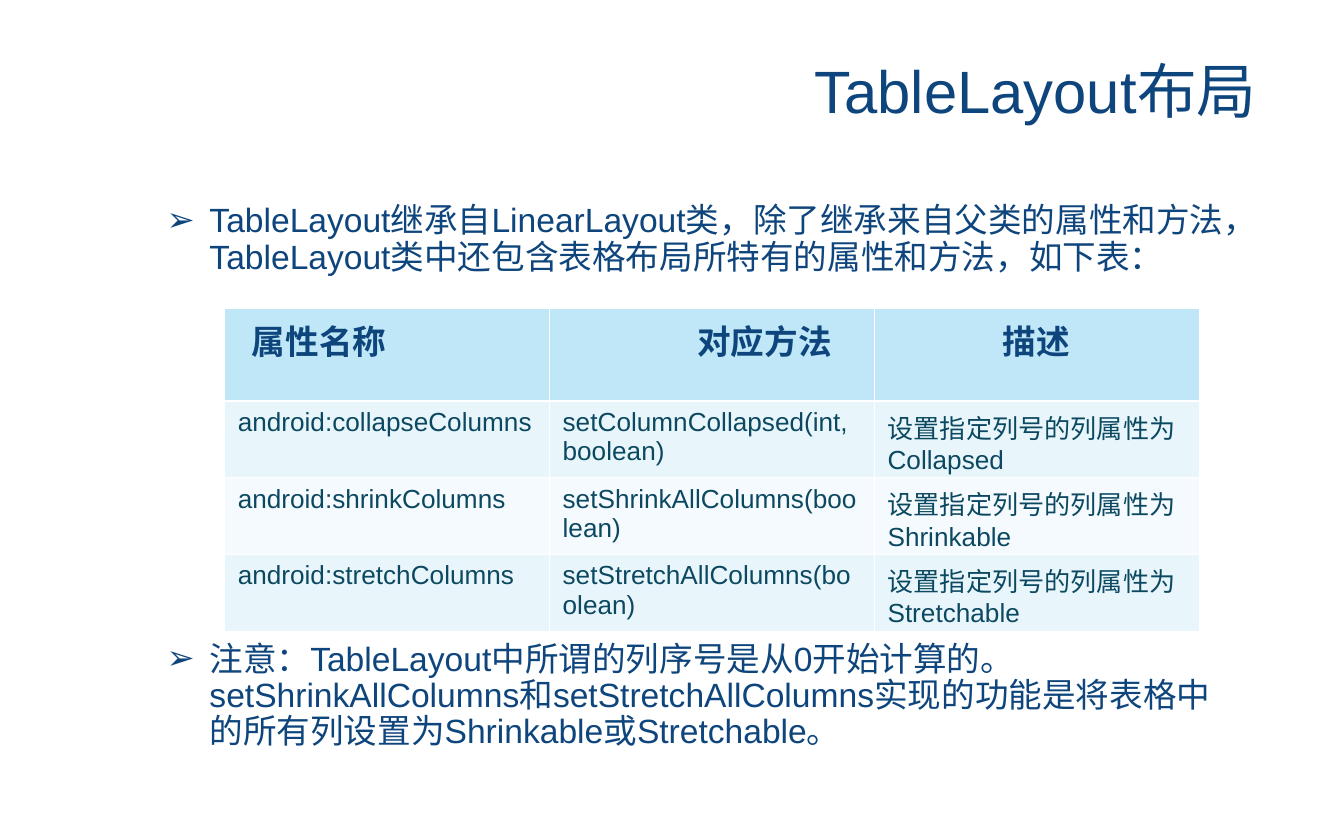
import pptx
import pptx.dml.color
import pptx.enum.text
import pptx.oxml
import pptx.oxml.ns
import pptx.util

Cm = pptx.util.Cm
Pt = pptx.util.Pt
RGBColor = pptx.dml.color.RGBColor
Align = pptx.enum.text.PP_ALIGN
Anchor = pptx.enum.text.MSO_ANCHOR

NAVY = RGBColor(0x0E, 0x45, 0x7D)
TEAL = RGBColor(0x0C, 0x49, 0x61)
HEADER_FILL = RGBColor(0xBF, 0xE7, 0xF7)
BAND_FILLS = (RGBColor(0xE8, 0xF6, 0xFC), RGBColor(0xF4, 0xFA, 0xFD))
WHITE = RGBColor(0xFF, 0xFF, 0xFF)

THIN, THICK = Pt(0.45), Pt(1.47)
NAMESPACE = pptx.oxml.ns.nsdecls("a")

NOTES = [
    ("TableLayout继承自LinearLayout类，除了继承来自父类的属性和方法，"
     "TableLayout类中还包含表格布局所特有的属性和方法，如下表：", 0),
    ("注意：TableLayout中所谓的列序号是从0开始计算的。"
     "setShrinkAllColumns和setStretchAllColumns实现的功能是将表格中的所有列"
     "设置为Shrinkable或Stretchable。", 196),
]
# Header text, alignment, left margin in cm
HEADERS = [
    ("属性名称", Align.LEFT, 0.52),
    ("对应方法", Align.LEFT, 2.8),
    ("描述", Align.CENTER, 0.25),
]
ATTRIBUTES = [
    ("android:collapseColumns", "setColumnCollapsed(int,boolean)", "Collapsed"),
    ("android:shrinkColumns", "setShrinkAllColumns(boolean)", "Shrinkable"),
    ("android:stretchColumns", "setStretchAllColumns(boolean)", "Stretchable"),
]


class SlideBuilder:
    font_name = "Arial"

    def __init__(self, slide):
        self.slide = slide

    def style(self, paragraph, size, color, bold=False):
        paragraph.font.name = self.font_name
        paragraph.font.size = Pt(size)
        paragraph.font.bold = bold
        paragraph.font.color.rgb = color

    def text_frame(self, left, top, width, height):
        box = self.slide.shapes.add_textbox(Cm(left), Cm(top), Cm(width), Cm(height))
        box.text_frame.word_wrap = True
        return box.text_frame

    def title(self, text, left, top, width, height):
        frame = self.text_frame(left, top, width, height)
        frame.vertical_anchor = Anchor.MIDDLE
        paragraph = frame.paragraphs[0]
        paragraph.text = text
        paragraph.alignment = Align.RIGHT
        paragraph.line_spacing = 0.9
        self.style(paragraph, 32, NAVY)

    def bullets(self, items, left, top, width, height):
        """Add a bulleted list of (text, space before in points)."""
        frame = self.text_frame(left, top, width, height)
        for index, (text, space) in enumerate(items):
            paragraph = frame.add_paragraph() if index else frame.paragraphs[0]
            paragraph.text = text
            paragraph.line_spacing = 0.9
            if space:
                paragraph.space_before = Pt(space)
            properties = paragraph._p.get_or_add_pPr()
            properties.set("marL", str(Cm(0.81)))
            properties.set("indent", str(-Cm(0.81)))
            for element in (
                f'<a:buClr {NAMESPACE}><a:srgbClr val="{NAVY}"/></a:buClr>',
                f'<a:buFont {NAMESPACE} typeface="{self.font_name}"/>',
                f'<a:buChar {NAMESPACE} char="➢"/>',
            ):
                properties.append(pptx.oxml.parse_xml(element))
            self.style(paragraph, 18, NAVY)

    def borders(self, cell, top, bottom):
        properties = cell._tc.get_or_add_tcPr()
        for side, width in zip("LRTB", (THIN, THIN, top, bottom)):
            properties.append(pptx.oxml.parse_xml(
                f'<a:ln{side} {NAMESPACE} w="{width}"><a:solidFill>'
                f'<a:srgbClr val="{WHITE}"/></a:solidFill></a:ln{side}>'))

    def cell(self, cell, text, fill, size, color, bold=False, top=THIN, bottom=THIN):
        self.borders(cell, top, bottom)
        cell.fill.solid()
        cell.fill.fore_color.rgb = fill
        paragraph = cell.text_frame.paragraphs[0]
        paragraph.text = text
        self.style(paragraph, size, color, bold)

    def table(self, headers, rows, left, top, column_width, header_height, row_height):
        table = self.slide.shapes.add_table(
            len(rows) + 1, len(headers), Cm(left), Cm(top),
            Cm(column_width * len(headers)),
            Cm(header_height + row_height * len(rows))).table
        for column in table.columns:
            column.width = Cm(column_width)
        for index, row in enumerate(table.rows):
            row.height = Cm(row_height if index else header_height)

        for column, (text, alignment, margin) in enumerate(headers):
            cell = table.cell(0, column)
            self.cell(cell, text, HEADER_FILL, 18, NAVY, bold=True, bottom=THICK)
            cell.margin_left = Cm(margin)
            cell.text_frame.paragraphs[0].alignment = alignment
        for index, row in enumerate(rows):
            for column, text in enumerate(row):
                self.cell(table.cell(index + 1, column), text, BAND_FILLS[index % 2],
                          14, TEAL, top=THIN if index else THICK)


def main():
    presentation = pptx.Presentation()
    presentation.slide_width = Cm(25.4)
    presentation.slide_height = Cm(15.88)
    builder = SlideBuilder(presentation.slides.add_slide(presentation.slide_layouts[6]))

    builder.bullets(NOTES, 2.9, 3.73, 20.8, 12.57)
    builder.title("TableLayout布局", 1.14, 0.2, 22.86, 3.18)
    rows = [(name, method, f"设置指定列号的列属性为{state}")
            for name, method, state in ATTRIBUTES]
    builder.table(HEADERS, rows, 4.24, 5.83, 6.14, 1.75, 1.45)

    presentation.save("out.pptx")


if __name__ == "__main__":
    main()
